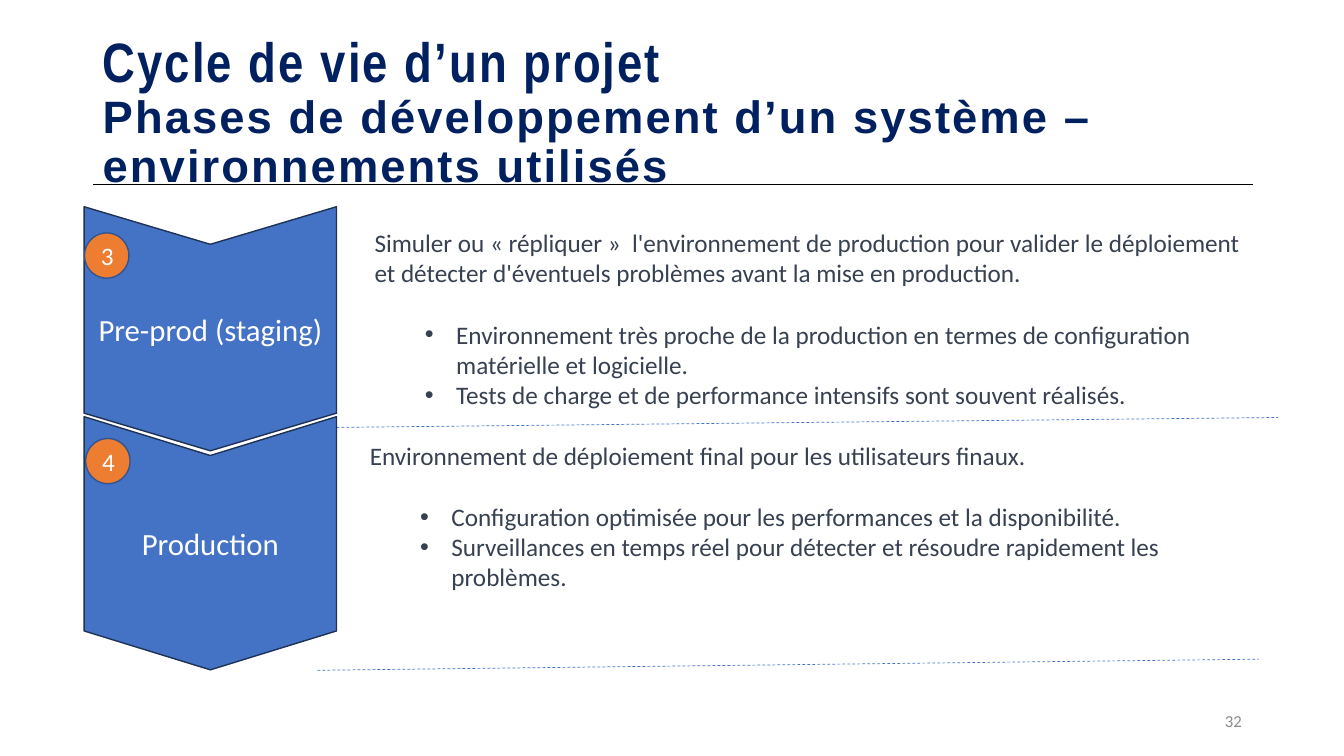
"""Build the slide on pre-production and production environments."""
from lxml import etree
from pptx import Presentation
from pptx import util as u
from pptx.dml.color import RGBColor
from pptx.enum import dml, shapes, text
from pptx.oxml.ns import qn

HUES = {"navy": "002060", "blue": "4472C4", "edge": "1E3256", "orange": "ED7D31",
        "ring": "325491", "ink": "374151", "gray": "8C8C8C", "white": "FFFFFF",
        "black": "000000"}
TITLE = [("Cycle de vie d’un projet", "Arial Narrow", 39.6),
         ("Phases de développement d’un système – environnements utilisés", "Arial", 32.4)]
PHASES = [
    {"name": "Pre-prod (staging)", "num": "3", "band": (5.21, 6.15),
     "dot": (2.13, 5.87), "box": (9.19, 5.61, 22.53, 4.88),
     "lead": "Simuler ou « répliquer »  l'environnement de production pour valider "
             "le déploiement et détecter d'éventuels problèmes avant la mise en production.",
     "items": ["Environnement très proche de la production en termes de configuration "
               "matérielle et logicielle.",
               "Tests de charge et de performance intensifs sont souvent réalisés."],
     "rule": (8.48, 10.77, 32.21, 10.52)},
    {"name": "Production", "num": "4", "band": (10.5, 6.38),
     "dot": (2.16, 11.05), "box": (9.07, 10.97, 22.53, 4.11),
     "lead": "Environnement de déploiement final pour les utilisateurs finaux.",
     "items": ["Configuration optimisée pour les performances et la disponibilité.",
               "Surveillances en temps réel pour détecter et résoudre rapidement "
               "les problèmes."],
     "rule": (8, 16.89, 31.72, 16.61)},
]
LEFT, WIDE = 2.12, 6.36
MID = text.MSO_ANCHOR.MIDDLE
CENTER, RIGHT = text.PP_ALIGN.CENTER, text.PP_ALIGN.RIGHT

deck = Presentation()
deck.slide_width, deck.slide_height = u.Cm(33.87), u.Cm(19.05)
slide = deck.slides.add_slide(deck.slide_layouts[6])


def hue(name):
    return RGBColor.from_string(HUES[name])


def write(par, words, size=18, color="ink", font="Calibri", bold=False, gap=0, align=None):
    run = par.add_run()
    run.text = words
    run.font.size, run.font.name, run.font.bold = u.Pt(size), font, bold
    run.font.color.rgb = hue(color)
    if gap:
        run.font._element.set("spc", str(gap))
    if align is not None:
        par.alignment = align


def frame(box, anchor=text.MSO_ANCHOR.TOP):
    area = slide.shapes.add_textbox(*map(u.Cm, box)).text_frame
    area.word_wrap, area.vertical_anchor = True, anchor
    return area


def shape(kind, box, fill, line):
    part = slide.shapes.add_shape(kind, *map(u.Cm, box))
    part.shadow.inherit = False
    part.fill.solid()
    part.fill.fore_color.rgb = hue(fill)
    part.line.color.rgb, part.line.width = hue(line), u.Pt(1)
    part.text_frame.vertical_anchor = MID
    return part


def rule(ends, color, dash=None):
    line = slide.shapes.add_connector(shapes.MSO_CONNECTOR.STRAIGHT, *map(u.Cm, ends))
    line.line.color.rgb, line.line.width = hue(color), u.Pt(0.5)
    if dash:
        line.line.dash_style = dash
    etree.SubElement(line._element.spPr, qn("a:effectLst"))


def bullet(par):
    props = par._p.get_or_add_pPr()
    for key, val in (("marL", 0.81), ("indent", -0.31)):
        props.set(key, str(u.Inches(val)))
    props.set("lvl", "1")
    etree.SubElement(props, qn("a:buFont")).set("typeface", "Arial")
    etree.SubElement(props, qn("a:buChar")).set("char", "•")


def band(name, top, tall):
    shift = (WIDE - tall) / 2
    part = shape(shapes.MSO_SHAPE.CHEVRON, (LEFT + shift, top - shift, tall, WIDE),
                 "blue", "edge")
    part.rotation, part.adjustments[0] = 90, 0.154
    part.text_frame._txBody.bodyPr.set("vert", "vert270")
    write(part.text_frame.paragraphs[0], name, size=22, color="white", align=CENTER)


def dot(num, spot):
    part = shape(shapes.MSO_SHAPE.OVAL, (*spot, 1.12, 1.14), "orange", "ring")
    write(part.text_frame.paragraphs[0], num, color="white", align=CENTER)


def notes(lead, items, box):
    area = frame(box)
    write(area.paragraphs[0], lead)
    for i, item in enumerate(items):
        par = area.add_paragraph()
        if i == 0:
            par.space_before = u.Pt(22)
        bullet(par)
        write(par, item)


def main():
    rule((2.34, 4.65, 31.57, 4.65), "black")
    head = frame((2.34, 1.02, 29.21, 3.68), MID).paragraphs[0]
    head.line_spacing = 0.9
    for i, (words, font, size) in enumerate(TITLE):
        if i:
            head.add_line_break()
        write(head, words, size=size, color="navy", font=font, bold=True, gap=150)
    for phase in PHASES:
        band(phase["name"], *phase["band"])
        dot(phase["num"], phase["dot"])
        notes(phase["lead"], phase["items"], phase["box"])
        rule(phase["rule"], "blue", dml.MSO_LINE.DASH)
    page = frame((23.93, 17.65, 7.62, 1.02), MID).paragraphs[0]
    write(page, "32", size=12, color="gray", align=RIGHT)
    deck.save("out.pptx")


if __name__ == "__main__":
    main()
